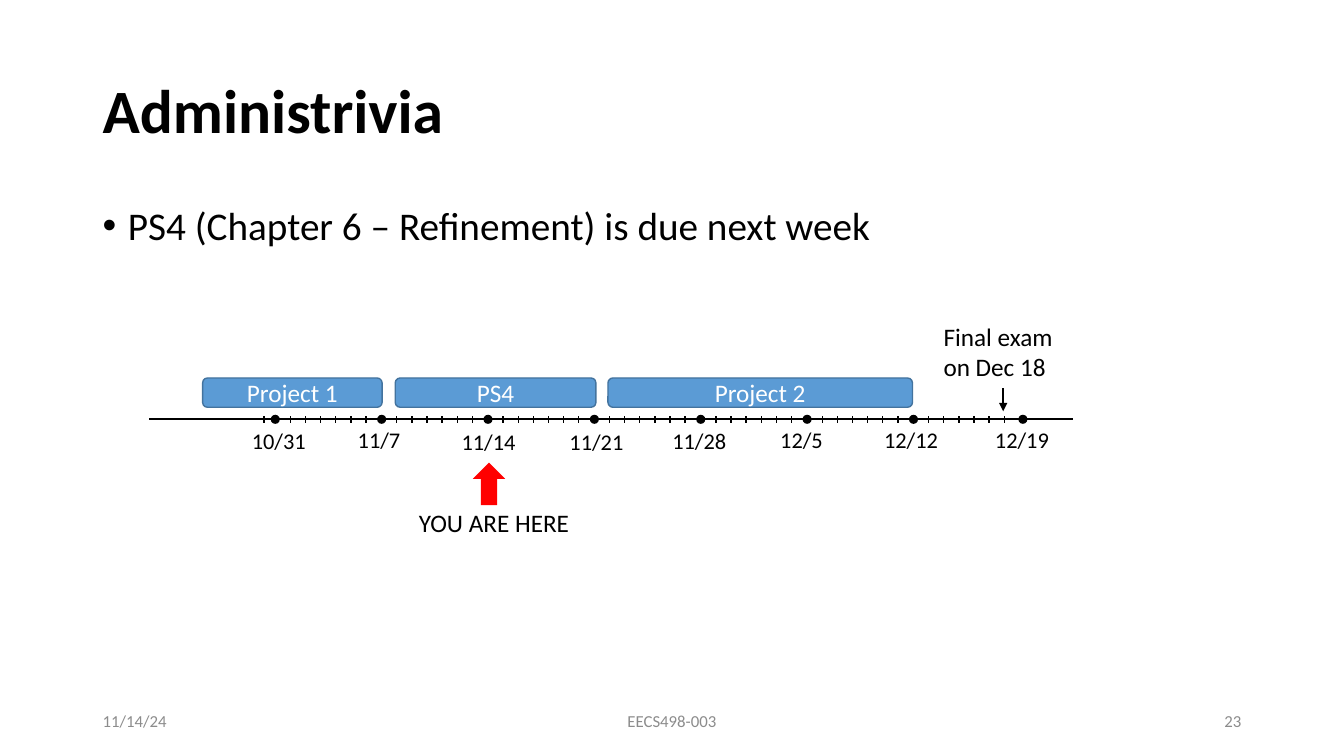
from lxml.etree import SubElement
from pptx import Presentation
from pptx.dml.color import RGBColor
from pptx.enum.shapes import MSO_CONNECTOR as CONN, MSO_SHAPE as SHAPE
from pptx.enum.text import MSO_ANCHOR as ANCHOR, PP_ALIGN as ALIGN
from pptx.oxml.ns import qn
from pptx.util import Inches, Pt

COLORS = {"ink": "000000", "muted": "8C8C8C", "bar": "5B9BD5",
          "bar_line": "43739E", "here": "FF0000", "white": "FFFFFF"}
W, H = 13.33, 7.5
MARGIN = 0.92
WEEK, DAY = 1.055, 0.15
FIRST_DOT = 1.25
DOT = 0.09
WEEKS = [("10/31", 0.92, 0.03), ("11/7", 1.97, 0.02), ("11/14", 3, 0.04),
         ("11/21", 4.07, 0.04), ("11/28", 5.09, 0.03), ("12/5", 6.16, 0.02),
         ("12/12", 7.19, 0.02), ("12/19", 8.29, 0.02)]
BARS = [("Project 1", 0.53, 1.78), ("PS4", 2.44, 1.99), ("Project 2", 4.55, 3.02)]


def color(name):
    """Return the named colour."""
    return RGBColor.from_string(COLORS[name])


def write(shape, text, size, ink="ink", bold=False, anchor=ANCHOR.TOP, **fmt):
    """Write one paragraph into a shape and return it."""
    tf = shape.text_frame
    tf.word_wrap = True
    tf.vertical_anchor = anchor
    p = tf.paragraphs[0]
    for name, value in fmt.items():
        setattr(p, name, value)
    r = p.add_run()
    r.text = text
    for name, value in {"name": "Calibri", "size": Pt(size), "bold": bold}.items():
        setattr(r.font, name, value)
    r.font.color.rgb = color(ink)
    return p


def add_text(s, box, text, size, **fmt):
    """Add a text box and return its paragraph."""
    return write(s.shapes.add_textbox(*map(Inches, box)), text, size, **fmt)


def add_solid(s, kind, box, fill, line=None):
    """Add a filled preset shape, outlined if a line colour is given."""
    sp = s.shapes.add_shape(kind, *map(Inches, box))
    sp.shadow.inherit = False
    sp.fill.solid()
    sp.fill.fore_color.rgb = color(fill)
    if line:
        sp.line.color.rgb = color(line)
        sp.line.width = Pt(1)
    else:
        sp.line.fill.background()
    return sp


def add_line(s, x1, y1, x2, y2, width, arrow=False):
    """Add a straight black line, with an arrowhead at its end if asked."""
    c = s.shapes.add_connector(CONN.STRAIGHT, *map(Inches, (x1, y1, x2, y2)))
    c.line.color.rgb = color("ink")
    c.line.width = Pt(width)
    if arrow:
        SubElement(c.line._get_or_add_ln(), qn("a:tailEnd"), type="triangle")
    SubElement(c._element.spPr, qn("a:effectLst"))


def add_title(s, box):
    """Place the slide title."""
    add_text(s, box, "Administrivia", 44, bold=True, anchor=ANCHOR.MIDDLE,
             line_spacing=0.9)


def add_body(s, box):
    """Place the bulleted announcement."""
    p = add_text(s, box, "PS4 (Chapter 6 – Refinement) is due next week", 28,
                 line_spacing=0.9, space_before=Pt(10))
    pPr = p._p.get_or_add_pPr()
    pPr.set("marL", str(Inches(0.25)))
    pPr.set("indent", str(-Inches(0.25)))
    SubElement(pPr, qn("a:buFont"), typeface="Arial")
    SubElement(pPr, qn("a:buChar"), char="•")


def add_axis(s, left, axis, width):
    """Draw the time axis with weekly dots, daily ticks and date labels."""
    add_line(s, left, axis, left + width, axis, 1.25)
    last = len(WEEKS) - 1
    days = [-0.75] + [7 * 0 + d for d in range(1, 7)]
    for i, (date, x, dy) in enumerate(WEEKS):
        dot = left + FIRST_DOT + i * WEEK + (0.03 if i == last else 0)
        add_solid(s, SHAPE.OVAL, (dot - DOT / 2, axis - DOT / 2, DOT, DOT), "ink")
        for d in days[min(i, 1):] if i < last else []:
            add_line(s, dot + d * DAY, axis - 0.03, dot + d * DAY, axis + 0.04, 1)
        add_text(s, (left + x, axis + dy, 0.86, 0.37), date, 16)


def add_timeline(s, box):
    """Place the term timeline: axis, work bars, exam and current date."""
    left, top, width, height = box
    axis = top + 1.02
    add_axis(s, left, axis, width)
    for name, x, w in BARS:
        bar = add_solid(s, SHAPE.ROUNDED_RECTANGLE, (left + x, axis - 0.41, w, 0.29),
                        "bar", "bar_line")
        write(bar, name, 18, "white", anchor=ANCHOR.MIDDLE, alignment=ALIGN.CENTER)
    exam = left + 8.47
    add_text(s, (exam - 0.69, top, 1.38, 0.71), "Final exam on Dec 18", 18)
    add_line(s, exam, top + 0.71, exam, axis - 0.08, 1.25, arrow=True)
    here = left + 3.37
    add_solid(s, SHAPE.UP_ARROW, (here - 0.16, axis + 0.43, 0.32, 0.42), "here")
    add_text(s, (here + 0.05 - 0.92, top + height - 0.4, 1.84, 0.4), "YOU ARE HERE",
             18, alignment=ALIGN.CENTER)


def add_footer(s, box):
    """Place the date, course and slide number."""
    left, top, width, height = box
    for text, x, w, align in [("11/14/24", 0, 3, ALIGN.LEFT),
                              ("EECS498-003", (width - 4.5) / 2, 4.5, ALIGN.CENTER),
                              ("23", width - 3, 3, ALIGN.RIGHT)]:
        add_text(s, (left + x, top, w, height), text, 12, ink="muted",
                 anchor=ANCHOR.MIDDLE, alignment=align)


def main():
    """Build and save the slide."""
    prs = Presentation()
    prs.slide_width, prs.slide_height = Inches(W), Inches(H)
    s = prs.slides.add_slide(prs.slide_layouts[6])
    inner = W - 2 * MARGIN
    add_title(s, (MARGIN, 0.4, inner, 1.45))
    add_body(s, (MARGIN, 2, inner, 4.76))
    add_timeline(s, (1.48, 3.14, 9.16, 2.24))
    add_footer(s, (MARGIN, 6.95, inner, 0.4))
    prs.save("out.pptx")


if __name__ == "__main__":
    main()
